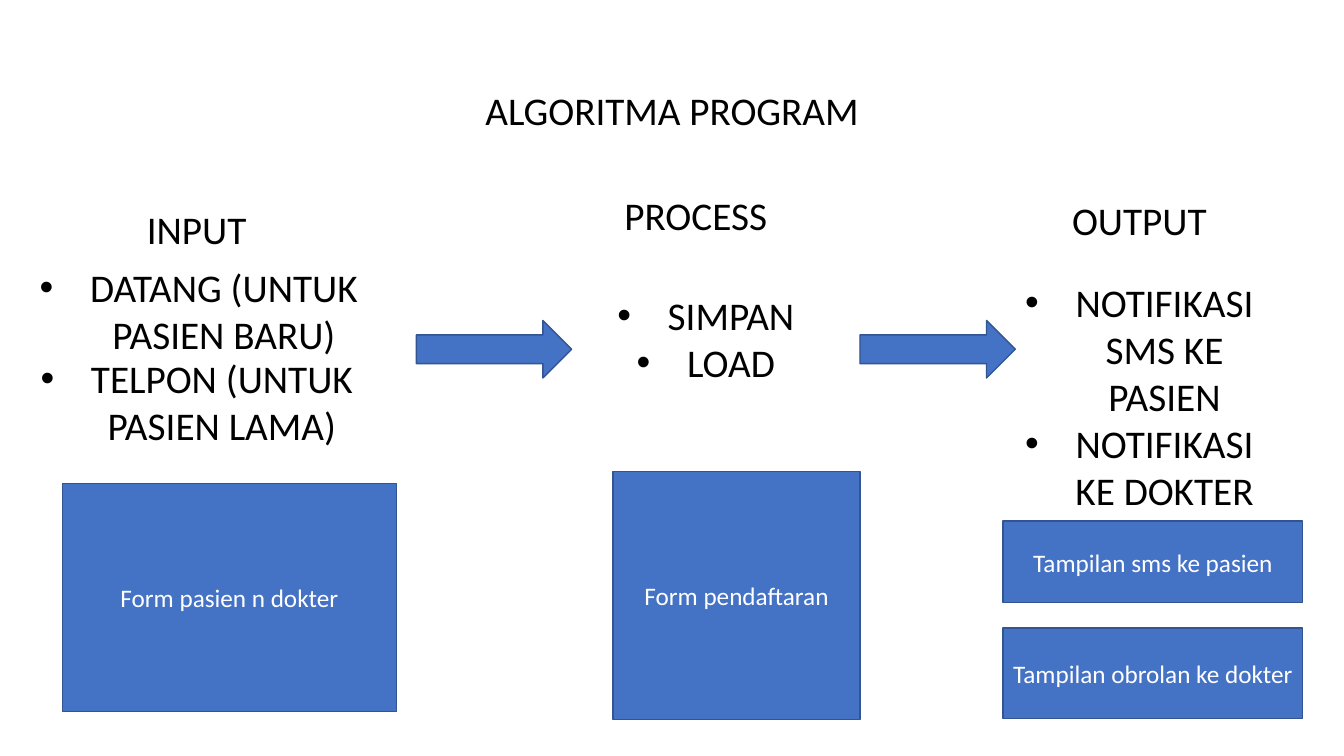
from dataclasses import dataclass

from lxml import etree
from pptx import Presentation
from pptx.dml.color import RGBColor
from pptx.enum.shapes import MSO_SHAPE
from pptx.enum.text import MSO_ANCHOR, MSO_AUTO_SIZE, PP_ALIGN
from pptx.oxml.ns import qn
from pptx.util import Inches, Pt

RECTANGLE = MSO_SHAPE.RECTANGLE
RIGHT_ARROW = MSO_SHAPE.RIGHT_ARROW
CENTER = PP_ALIGN.CENTER
TOP = MSO_ANCHOR.TOP
MIDDLE = MSO_ANCHOR.MIDDLE
NO_AUTOFIT = MSO_AUTO_SIZE.NONE
TITLE_ONLY = 5


@dataclass(frozen=True)
class Theme:
    """Colours, font and type sizes of the slide."""

    font: str = "Calibri"
    bullet_font: str = "Arial"
    ink: RGBColor = RGBColor(0, 0, 0)
    paper: RGBColor = RGBColor(255, 255, 255)
    fill: RGBColor = RGBColor(0x44, 0x72, 0xC4)
    outline: RGBColor = RGBColor(0x32, 0x54, 0x91)
    outline_width: int = Pt(1)
    heading: int = Pt(28)
    label: int = Pt(18)


THEME = Theme()
LABEL_WIDTH = 2.66
HEADING_HEIGHT = 0.57
ARROW_SIZE = (1.54, 0.57)

HEADINGS = [
    ("INPUT", 0.62, 1.99),
    ("PROCESS", 5.57, 1.85),
    ("OUTPUT", 9.97, 1.9),
]
BULLET_LISTS = [
    (["DATANG (UNTUK PASIEN BARU)"], (-0.01, 2.56, 3.96, 1.04)),
    (["TELPON (UNTUK PASIEN LAMA)"], (-0.03, 3.47, 3.96, 1.04)),
    (["SIMPAN", "LOAD"], (5.67, 2.84, LABEL_WIDTH, 1.04)),
    (["NOTIFIKASI SMS KE PASIEN", "NOTIFIKASI KE DOKTER"],
     (9.97, 2.71, LABEL_WIDTH, 2.46)),
]
FORMS = [
    ("Form pasien n dokter", (0.62, 4.8, 3.31, 2.26)),
    ("Form pendaftaran", (6.08, 4.68, 2.45, 2.46)),
    ("Tampilan sms ke pasien", (9.95, 5.17, 2.97, 0.81)),
    ("Tampilan obrolan ke dokter", (9.95, 6.23, 2.97, 0.9)),
]
ARROWS = [(4.13, 3.18), (8.53, 3.18)]


def set_values(target, values):
    """Set each named attribute of the target."""
    for name, value in values.items():
        setattr(target, name, value)


def add_bullet(para):
    """Give a paragraph a round bullet with a hanging indent."""
    properties = para._p.get_or_add_pPr()
    properties.set("marL", str(Inches(0.5)))
    properties.set("indent", str(-Inches(0.5)))
    etree.SubElement(properties, qn("a:buFont"), typeface=THEME.bullet_font)
    etree.SubElement(properties, qn("a:buChar"), char="•")


def write_text(box, lines, size, color, anchor=TOP, bulleted=False):
    """Write centred paragraphs into a box."""
    frame = box.text_frame
    set_values(frame, {"word_wrap": True, "auto_size": NO_AUTOFIT,
                       "vertical_anchor": anchor})
    frame.text = "\n".join(lines)
    for para in frame.paragraphs:
        para.alignment = CENTER
        if bulleted:
            add_bullet(para)
        for span in para.runs:
            set_values(span.font, {"name": THEME.font, "size": size})
            span.font.color.rgb = color


def add_label(page, lines, place, bulleted=False):
    """Add a text box with large dark text."""
    box = page.shapes.add_textbox(*map(Inches, place))
    write_text(box, lines, THEME.heading, THEME.ink, bulleted=bulleted)


def add_block(page, kind, place):
    """Add a filled and outlined shape without a shadow."""
    block = page.shapes.add_shape(kind, *map(Inches, place))
    block.shadow.inherit = False
    block.fill.solid()
    block.fill.fore_color.rgb = THEME.fill
    block.line.color.rgb = THEME.outline
    block.line.width = THEME.outline_width
    return block


def place_title(page, text, place):
    """Move and format the title placeholder."""
    title = page.shapes.title
    set_values(title, dict(zip(("left", "top", "width", "height"),
                               map(Inches, place))))
    write_text(title, [text], THEME.heading, THEME.ink)


def main():
    """Build the slide and save the deck."""
    deck = Presentation()
    set_values(deck, {"slide_width": Inches(13.33),
                      "slide_height": Inches(7.5)})
    page = deck.slides.add_slide(deck.slide_layouts[TITLE_ONLY])
    page.background.fill.solid()
    page.background.fill.fore_color.rgb = THEME.paper

    place_title(page, "ALGORITMA PROGRAM", (3.02, 0.81, 7.29, HEADING_HEIGHT))
    for text, left, top in HEADINGS:
        add_label(page, [text], (left, top, LABEL_WIDTH, HEADING_HEIGHT))
    for lines, place in BULLET_LISTS:
        add_label(page, lines, place, bulleted=True)
    for corner in ARROWS:
        add_block(page, RIGHT_ARROW, corner + ARROW_SIZE)
    for text, place in FORMS:
        form = add_block(page, RECTANGLE, place)
        write_text(form, [text], THEME.label, THEME.paper, anchor=MIDDLE)

    deck.save("out.pptx")


if __name__ == "__main__":
    main()
